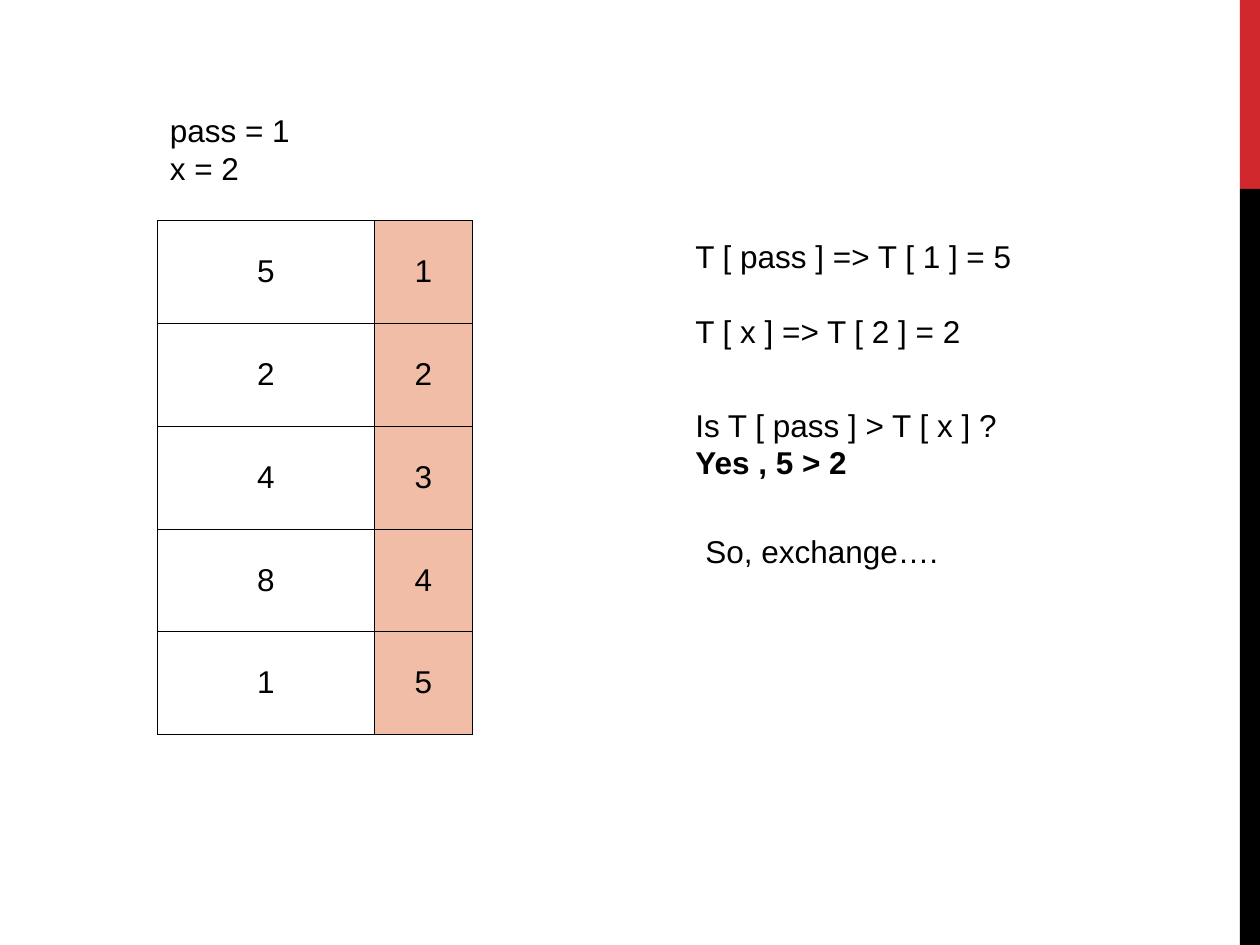
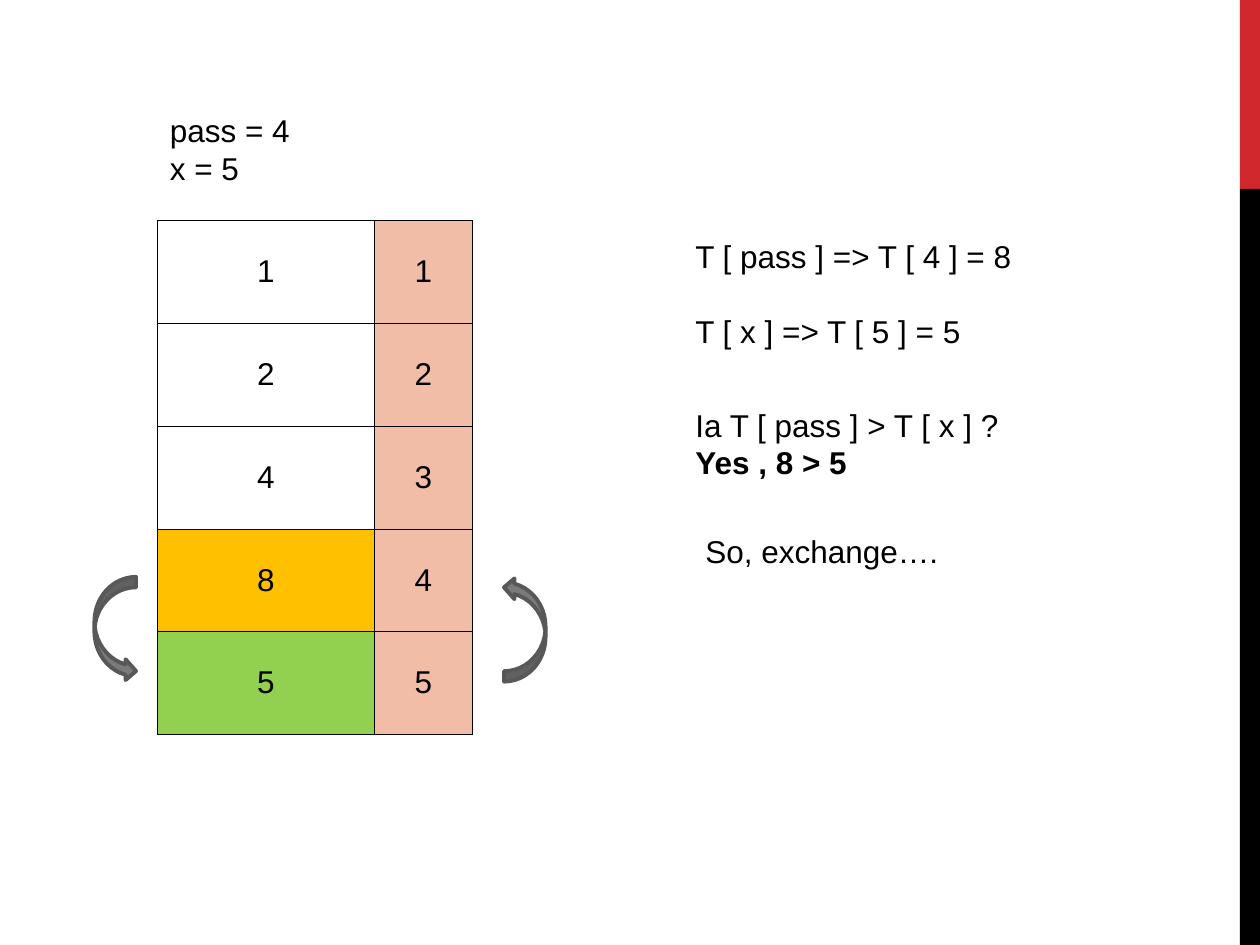
from lxml import etree
from pptx import Presentation
from pptx.dml.color import RGBColor
from pptx.enum.shapes import MSO_SHAPE
from pptx.enum.text import MSO_ANCHOR, PP_ALIGN
from pptx.oxml.ns import qn
from pptx.util import Inches, Pt

RECTANGLE = MSO_SHAPE.RECTANGLE
CURVED_ARROW = MSO_SHAPE.CURVED_RIGHT_ARROW
MIDDLE = MSO_ANCHOR.MIDDLE
CENTER = PP_ALIGN.CENTER

FONT = "Arial"
TEXT_SIZE = 18
LINE_PITCH = 21.6
BLACK = "000000"
RED = "D1282E"
INDEX_FILL = "F1BDA7"
PASS_FILL = "FFC000"
X_FILL = "92D050"
ARROW_FILL = "7A7A7A"
ARROW_LINE = "585858"

ARRAY_BOX = (1.25, 1.75, 2.5, 4.08)
VALUE_WIDTH = 1.72
BORDER_POINTS = 0.45
ARROW_SIZE = (0.33, 0.83)

STEPS = [
    {"pass": 1, "x": 2, "values": [5, 2, 4, 8, 1], "verb": "Is", "swap": False},
    {"pass": 4, "x": 5, "values": [1, 2, 4, 8, 5], "verb": "Ia", "swap": True},
]


def color(hex_code):
    """Turn a hex string into a colour."""
    return RGBColor.from_string(hex_code)


def inches(box):
    """Turn a box of plain numbers into lengths."""
    return [Inches(number) for number in box]


def style_paragraph(para, bold=False):
    """Give a paragraph the shared font."""
    for span in para.runs:
        span.font.name = FONT
        span.font.size = Pt(TEXT_SIZE)
        span.font.bold = bold
        span.font.color.rgb = color(BLACK)


def add_shape(page, kind, box, fill, line=None, line_width=2.25):
    """Add a flat preset shape."""
    shape = page.shapes.add_shape(kind, *inches(box))
    shape.shadow.inherit = False
    shape.fill.solid()
    shape.fill.fore_color.rgb = color(fill)
    if line:
        shape.line.color.rgb = color(line)
        shape.line.width = Pt(line_width)
    else:
        shape.line.fill.background()
    return shape


def add_text(page, box, lines, gap=0, bold_last=False):
    """Add left-aligned lines with a gap in points between them."""
    frame = page.shapes.add_textbox(*inches(box)).text_frame
    frame.word_wrap = True
    frame.text = "\n".join(lines)
    for number, para in enumerate(frame.paragraphs):
        para.line_spacing = Pt(LINE_PITCH)
        para.space_before = Pt(gap if number else 0)
        style_paragraph(para, bold_last and number == len(lines) - 1)


def add_side_band(page):
    """Draw the red and black band on the right edge."""
    left, width, split, bottom = 9.84, 0.16, 1.5, 7.5
    add_shape(page, RECTANGLE, (left, 0, width, split), RED)
    add_shape(page, RECTANGLE, (left, split, width, bottom - split), BLACK)


def set_borders(cell):
    """Draw a thin black line on each side of a cell."""
    properties = cell._tc.get_or_add_tcPr()
    for position, side in enumerate(("a:lnL", "a:lnR", "a:lnT", "a:lnB")):
        line = etree.Element(qn(side), w=str(Pt(BORDER_POINTS)))
        fill = etree.SubElement(line, qn("a:solidFill"))
        etree.SubElement(fill, qn("a:srgbClr"), val=BLACK)
        properties.insert(position, line)


def fill_cell(cell, value, fill=None):
    """Write a centred number into a bordered cell."""
    cell.text = str(value)
    cell.vertical_anchor = MIDDLE
    para = cell.text_frame.paragraphs[0]
    para.alignment = CENTER
    style_paragraph(para)
    if fill:
        cell.fill.solid()
        cell.fill.fore_color.rgb = color(fill)
    else:
        cell.fill.background()
    set_borders(cell)


def add_array(page, box, values, highlights):
    """Draw the array as a table of values and their indexes."""
    table = page.shapes.add_table(len(values), 2, *inches(box)).table
    table.first_row = table.horz_banding = False
    table.columns[0].width = Inches(VALUE_WIDTH)
    table.columns[1].width = Inches(box[2] - VALUE_WIDTH)
    for index, value in enumerate(values, start=1):
        table.rows[index - 1].height = Inches(box[3] / len(values))
        fill_cell(table.cell(index - 1, 0), value, highlights.get(index))
        fill_cell(table.cell(index - 1, 1), index, INDEX_FILL)


def add_swap_arrows(page, box, upper_index, row_count):
    """Draw the pair of arrows around two neighbouring rows."""
    left, top, width, height = box
    arrow_width, arrow_height = ARROW_SIZE
    middle = top + height * upper_index / row_count
    arrow_top = middle - arrow_height / 2 - 0.02
    for arrow_left, turn in ((left - 0.5, 0), (left + width + 0.25, 180)):
        arrow_box = (arrow_left, arrow_top, arrow_width, arrow_height)
        arrow = add_shape(page, CURVED_ARROW, arrow_box, ARROW_FILL, ARROW_LINE)
        arrow.rotation = turn


def add_comparison(page, left, top, step):
    """Write the two looked-up values, the question and the outcome."""
    first, second = step["pass"], step["x"]
    first_value, second_value = (step["values"][i - 1] for i in (first, second))
    add_text(page, (left, top, 3.58, 1), [
        f"T [ pass ] => T [ {first} ] = {first_value}",
        f"T [ x ] => T [ {second} ] = {second_value}",
    ], gap=LINE_PITCH)
    add_text(page, (left, top + 1.34, 3.42, 0.7), [
        f"{step['verb']} T [ pass ] > T [ x ] ?",
        f"Yes , {first_value} > {second_value}",
    ], bold_last=True)
    add_text(page, (left + 0.08, top + 2.34, 3.17, 0.4), ["So, exchange…."])


def add_step_page(deck, step):
    """Build the slide for one step of the sort."""
    page = deck.slides.add_slide(deck.slide_layouts[6])
    add_side_band(page)
    first, second = step["pass"], step["x"]
    highlights = {first: PASS_FILL, second: X_FILL} if step["swap"] else {}
    add_array(page, ARRAY_BOX, step["values"], highlights)
    add_text(page, (1.25, 0.83, 1.83, 0.7), [f"pass = {first}", f"x = {second}"])
    add_comparison(page, 5.42, 1.83, step)
    if step["swap"]:
        add_swap_arrows(page, ARRAY_BOX, first, len(step["values"]))


def main():
    """Build the deck and save it."""
    deck = Presentation()
    deck.slide_width, deck.slide_height = inches((10, 7.5))
    for step in STEPS:
        add_step_page(deck, step)
    deck.save("out.pptx")


if __name__ == "__main__":
    main()
